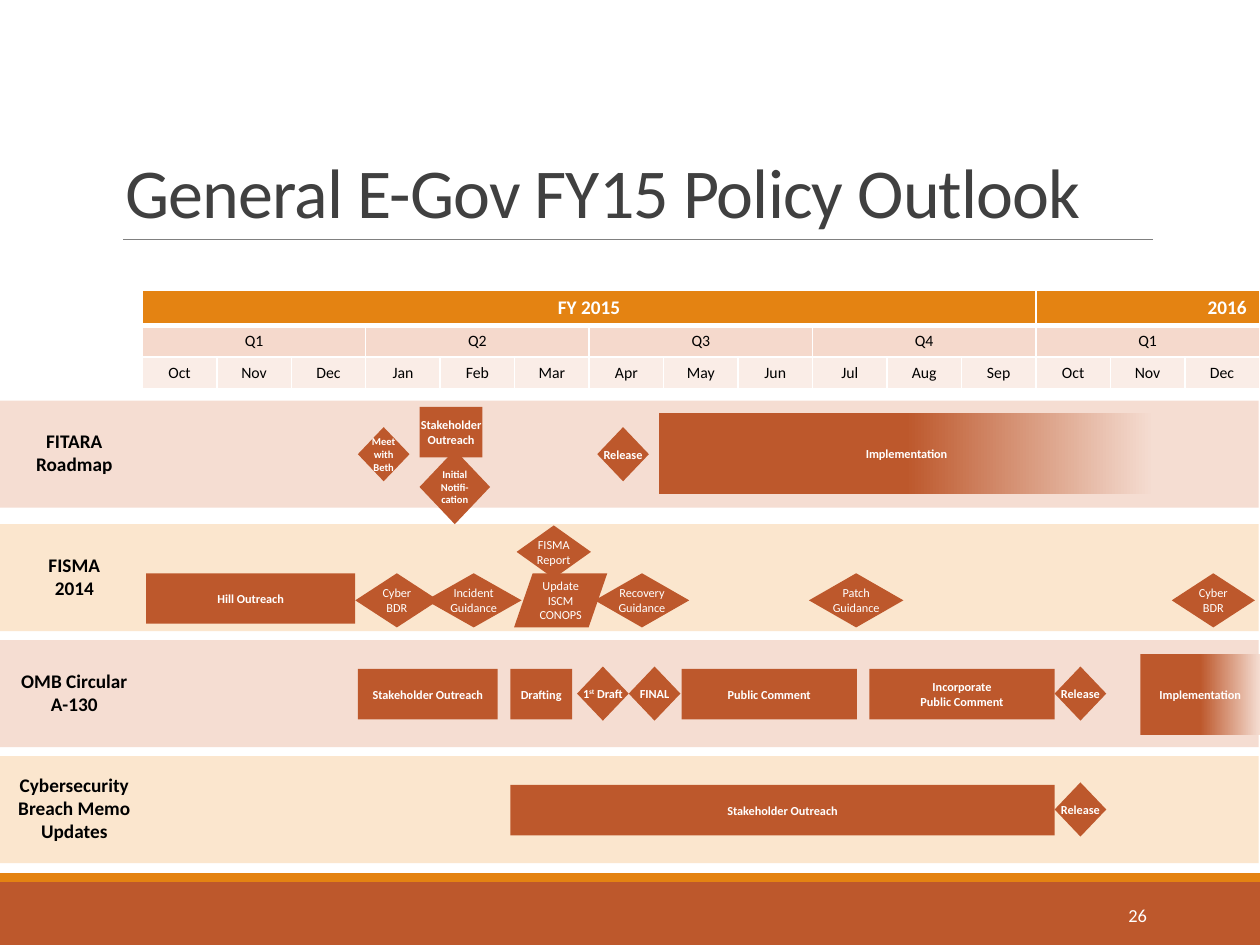
import copy
from dataclasses import dataclass

import lxml.etree
import pptx
import pptx.dml.color
import pptx.enum.shapes
import pptx.enum.text
import pptx.oxml.ns
import pptx.util

Inches = pptx.util.Inches
Shape = pptx.enum.shapes.MSO_SHAPE
Align = pptx.enum.text.PP_ALIGN
Anchor = pptx.enum.text.MSO_ANCHOR
qn = pptx.oxml.ns.qn

RUST, ORANGE, WHITE, BLACK = "BD582C", "E48312", "FFFFFF", "000000"
PINK, CREAM = "F5DDD2", "FBE6CE"
LANE_HEIGHT = 0.85
MONTHS = "Oct Nov Dec Jan Feb Mar Apr May Jun Jul Aug Sep Oct Nov Dec".split()


@dataclass
class Lane:
    label: str
    lines: int
    top: float
    color: str


@dataclass
class Mark:
    text: str
    left: float
    top: float
    width: float
    height: float = 0.4
    kind: int = Shape.RECTANGLE
    size: float = 7
    bold: bool = True
    wrap: bool = True
    fade: bool = False


def milestone(text: str, left: float, top: float, **options) -> Mark:
    """A small diamond with a one-line bold label."""
    return Mark(text, left, top, 0.41, 0.43, Shape.DIAMOND, **options)


def guidance(text: str, left: float, width: float, top: float = 4.55,
             height: float = 0.43, kind: int = Shape.DIAMOND) -> Mark:
    """A FISMA event with a label in regular weight."""
    return Mark(text, left, top, width, height, kind, bold=False)


LANES = [
    Lane("FITARA Roadmap", 2, 3.18, PINK),
    Lane("FISMA\n2014", 2, 4.16, CREAM),
    Lane("OMB Circular A-130", 2, 5.08, PINK),
    Lane("Cybersecurity Breach Memo Updates", 3, 6, CREAM),
]
MARKS = [
    Mark("Implementation", 5.23, 3.28, 3.93, 0.64, fade=True),
    milestone("Release", 4.74, 3.39, wrap=False),
    milestone("Meet with Beth", 2.84, 3.39, size=6),
    Mark("Stakeholder Outreach", 3.33, 3.23, 0.5),
    Mark("Initial Notifi-cation", 3.33, 3.57, 0.56, 0.59, Shape.DIAMOND, size=6),
    Mark("Hill Outreach", 1.16, 4.55, 1.66),
    guidance("Cyber BDR", 2.82, 0.66),
    guidance("Incident Guidance", 3.38, 0.76),
    guidance("FISMA Report", 4.1, 0.59, top=4.17, height=0.42),
    guidance("Update ISCM\nCONOPS", 4.08, 0.74, kind=Shape.FLOWCHART_DATA),
    guidance("Recovery Guidance", 4.72, 0.75),
    guidance("Patch Guidance", 6.42, 0.75),
    guidance("Cyber BDR", 9.3, 0.66),
    Mark("Stakeholder Outreach", 2.84, 5.31, 1.11),
    Mark("Drafting", 4.05, 5.31, 0.49),
    milestone("1^st^ Draft", 4.58, 5.29, wrap=False),
    milestone("FINAL", 4.99, 5.29, wrap=False),
    Mark("Public Comment", 5.41, 5.31, 1.39),
    Mark("Incorporate\nPublic Comment", 6.9, 5.31, 1.47),
    milestone("Release", 8.37, 5.29, wrap=False),
    Mark("Implementation", 9.05, 5.19, 0.95, 0.64, fade=True),
    Mark("Stakeholder Outreach", 4.05, 6.23, 4.32),
    milestone("Release", 8.37, 6.21, wrap=False),
]


def rgb(color: str):
    return pptx.dml.color.RGBColor.from_string(color)


def paint(fill, color: str) -> None:
    fill.solid()
    fill.fore_color.rgb = rgb(color)


def write(frame, text: str, *, size: float, color: str, bold: bool = False,
          align=Align.CENTER, leading: float | None = None, spacing: int = 0) -> None:
    """Fill a text frame; a newline starts a paragraph, ^x^ is superscript."""
    for index, line in enumerate(text.split("\n")):
        para = frame.add_paragraph() if index else frame.paragraphs[0]
        para.alignment = align
        if leading:
            para.line_spacing = leading
        for part, words in enumerate(line.split("^")):
            span = para.add_run()
            span.text = words
            font = span.font
            font.name, font.size, font.bold = "Calibri", pptx.util.Pt(size), bold
            font.color.rgb = rgb(color)
            if spacing:
                font._element.set("spc", str(spacing))
            if part % 2:
                font._element.set("baseline", "30000")


def add_block(page, kind: int, left: float, top: float, width: float,
              height: float, color: str):
    block = page.shapes.add_shape(kind, Inches(left), Inches(top), Inches(width), Inches(height))
    block.shadow.inherit = False
    block.line.fill.background()
    paint(block.fill, color)
    return block


def add_text(page, text: str, left: float, top: float, width: float,
             height: float, anchor=Anchor.TOP, **style) -> None:
    box = page.shapes.add_textbox(Inches(left), Inches(top), Inches(width), Inches(height))
    box.text_frame.word_wrap = True
    box.text_frame.vertical_anchor = anchor
    write(box.text_frame, text, **style)


def add_fade(block) -> None:
    """Keep the left half rust and fade the right half to pink."""
    block.fill.gradient()
    block.fill.gradient_angle = 0
    stops = block._element.spPr.find(qn("a:gradFill")).find(qn("a:gsLst"))
    stops.insert(1, copy.deepcopy(stops[0]))
    for stop, position, color in zip(block.fill.gradient_stops, (0, 0.5, 1), (RUST, RUST, PINK)):
        stop.position = position
        stop.color.rgb = rgb(color)


def add_mark(page, mark: Mark) -> None:
    block = add_block(page, mark.kind, mark.left, mark.top, mark.width, mark.height, RUST)
    if mark.fade:
        add_fade(block)
    frame = block.text_frame
    frame.margin_left = frame.margin_right = frame.margin_top = frame.margin_bottom = 0
    frame.vertical_anchor = Anchor.MIDDLE
    frame.word_wrap = mark.wrap
    write(frame, mark.text, size=mark.size, color=WHITE, bold=mark.bold)


def add_lane(page, lane: Lane) -> None:
    add_block(page, Shape.RECTANGLE, -0.01, lane.top, 10, LANE_HEIGHT, lane.color)
    height = 0.09 + 0.19 * lane.lines
    add_text(page, lane.label, 0.03, lane.top + (LANE_HEIGHT - height) / 2 - 0.01, 1.12, height,
             size=11, color=BLACK, bold=True)


def set_borders(cell, bottom: float) -> None:
    properties = cell._tc.get_or_add_tcPr()
    for index, (side, width) in enumerate(zip("LRTB", (1, 1, 1, bottom))):
        line = lxml.etree.Element(qn(f"a:ln{side}"), w=str(pptx.util.Pt(width)))
        solid = lxml.etree.SubElement(line, qn("a:solidFill"))
        lxml.etree.SubElement(solid, qn("a:srgbClr"), val=WHITE)
        properties.insert(index, line)


def add_calendar(page) -> None:
    table = page.shapes.add_table(3, len(MONTHS), Inches(1.13), Inches(2.3),
                                  Inches(8.87), Inches(0.78)).table
    for column in table.columns:
        column.width = Inches(8.87 / len(MONTHS))
    for row, height in zip(table.rows, (0.28, 0.25, 0.25)):
        row.height = Inches(height)
    for row, color in enumerate((ORANGE, "F5D9CC", "FAEDE7")):
        for column in range(len(MONTHS)):
            cell = table.cell(row, column)
            paint(cell.fill, color)
            set_borders(cell, 1 if row else 3)
    for column, year, months, align in ((0, "FY 2015", 12, Align.CENTER), (12, "2016", 3, Align.RIGHT)):
        cell = table.cell(0, column)
        cell.merge(table.cell(0, column + months - 1))
        write(cell.text_frame, year, size=11, color=WHITE, bold=True, align=align)
    for index, quarter in enumerate(("Q1", "Q2", "Q3", "Q4", "Q1")):
        cell = table.cell(1, index * 3)
        cell.merge(table.cell(1, index * 3 + 2))
        write(cell.text_frame, quarter, size=9, color=BLACK)
    for column, month in enumerate(MONTHS):
        write(table.cell(2, column).text_frame, month, size=9, color=BLACK)


def add_frame(page) -> None:
    """Draw the footer bands, the title with its rule and the page number."""
    add_block(page, Shape.RECTANGLE, 0, 7, 10, 0.5, RUST)
    add_block(page, Shape.RECTANGLE, 0, 6.93, 10, 0.07, ORANGE)
    rule = page.shapes.add_connector(pptx.enum.shapes.MSO_CONNECTOR.STRAIGHT,
                                     Inches(0.98), Inches(1.9), Inches(9.15), Inches(1.9))
    rule.line.color.rgb = rgb("808080")
    rule.line.width = pptx.util.Pt(0.5)
    lxml.etree.SubElement(rule._element.spPr, qn("a:effectLst"))
    add_text(page, "General E-Gov FY15 Policy Outlook", 0.9, 0.31, 8.25, 1.59, Anchor.BOTTOM,
             size=40, color="404040", align=Align.LEFT, leading=0.85, spacing=-50)
    add_text(page, "26", 8.12, 7.06, 1.08, 0.4, Anchor.MIDDLE,
             size=10.5, color=WHITE, align=Align.RIGHT)


def main() -> None:
    deck = pptx.Presentation()
    deck.slide_width, deck.slide_height = Inches(10), Inches(7.5)
    page = deck.slides.add_slide(deck.slide_layouts[6])
    add_frame(page)
    add_calendar(page)
    for lane in LANES:
        add_lane(page, lane)
    for mark in MARKS:
        add_mark(page, mark)
    deck.save("out.pptx")


if __name__ == "__main__":
    main()
